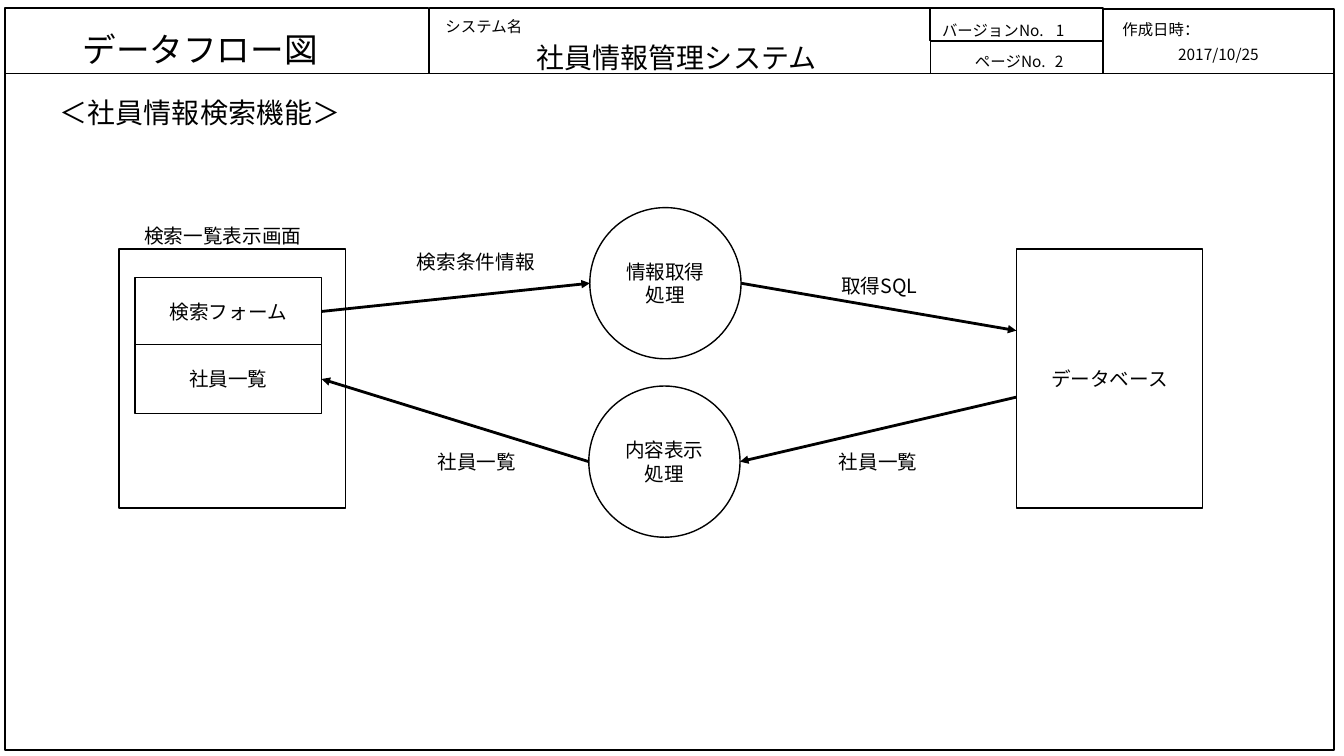
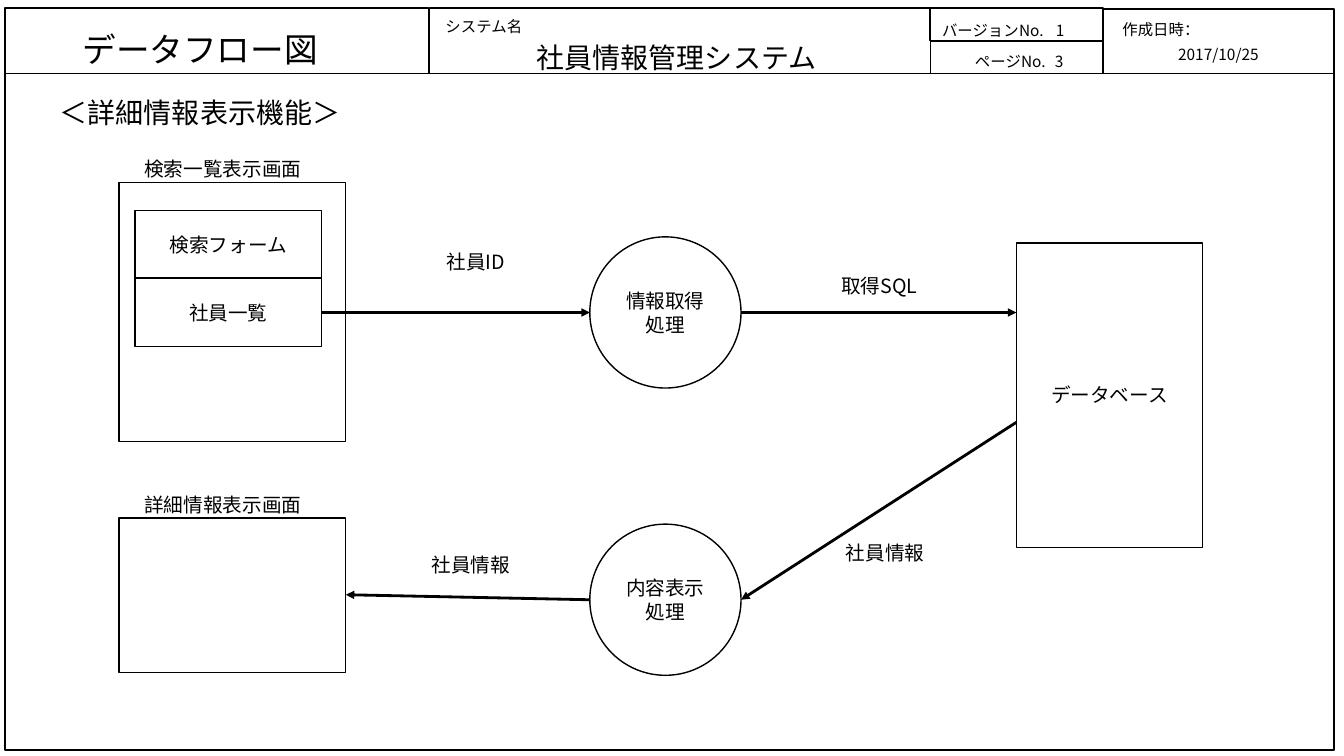
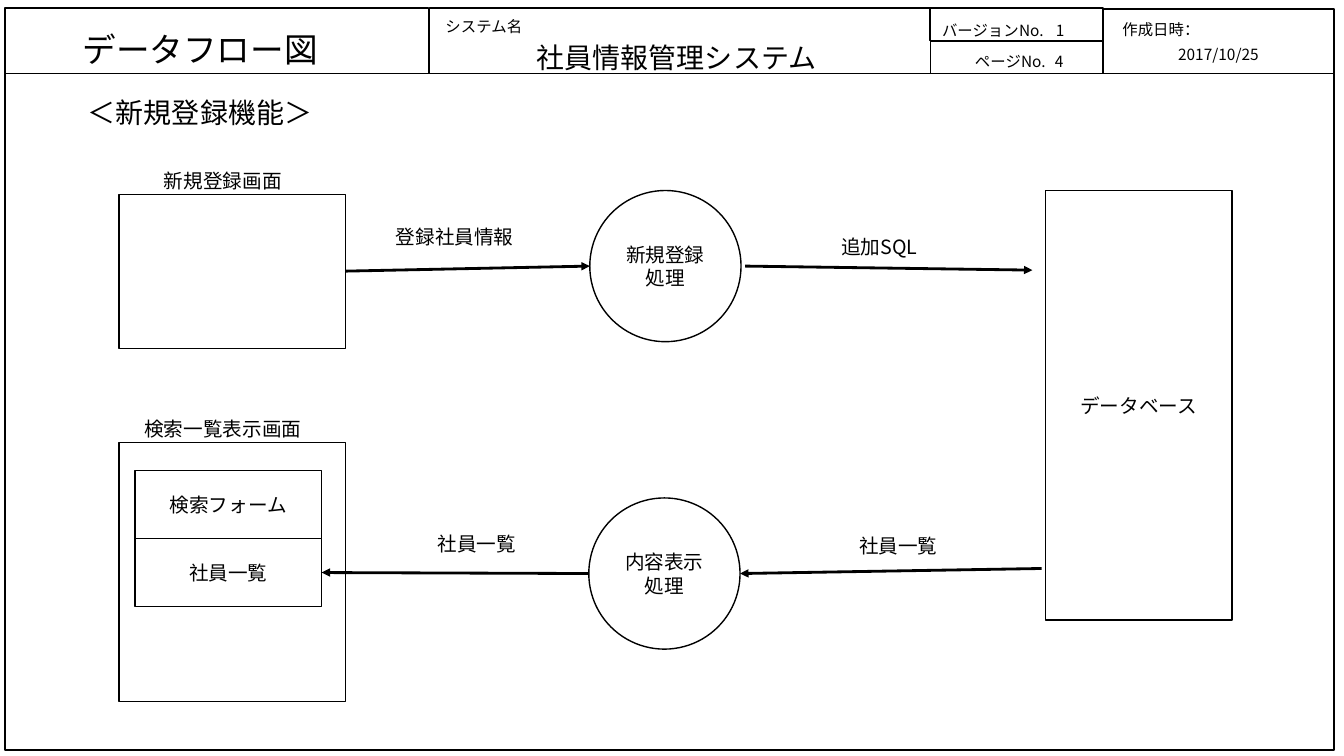
import pptx
import pptx.dml.color
import pptx.enum.shapes
import pptx.enum.text
import pptx.oxml.ns
import pptx.util
from lxml import etree

BLACK = pptx.dml.color.RGBColor(0x00, 0x00, 0x00)
WHITE = pptx.dml.color.RGBColor(0xFF, 0xFF, 0xFF)
FONT = "Noto Sans CJK JP"
PX = 9144  # 100 px to the inch

ALIGN = pptx.enum.text.PP_ALIGN
ANCHOR = pptx.enum.text.MSO_ANCHOR
PRESET = pptx.enum.shapes.MSO_SHAPE

# Boxes are (left, top, width, height) in px.
HEADER_CELLS = [
    (5, 73, 1318, 671),
    (5, 8, 420, 65),
    (426, 8, 497, 65),
    (922, 8, 172, 32),
    (923, 41, 171, 32),
    (1094, 9, 229, 64),
]
PAGE_NUMBER_BOX = (1033, 47, 35, 30)
HEADER_TEXTS = [
    ("データフロー図", (54, 24, 289, 49), {"size": 24}),
    ("システム名", (418, 12, 124, 49), {"size": 11}),
    ("社員情報管理システム", (402, 36, 538, 41), {"size": 20, "anchor": ANCHOR.MIDDLE}),
    ("バージョンNo.", (894, 16, 151, 29), {"size": 11, "align": ALIGN.RIGHT}),
    ("1", (1034, 16, 35, 30), {"size": 11}),
    ("ページNo.", (922, 47, 125, 27), {"size": 11, "align": ALIGN.RIGHT}),
    ("作成日時：", (1085, 15, 133, 24), {"size": 11}),
    ("2017/10/25", (1106, 40, 205, 23), {"size": 11}),
]
TITLE_BOX = (6, 75, 385, 73)

SCREEN_LEFT, SCREEN_WIDTH = 118, 225
LIST_SCREEN_HEIGHT, PLAIN_SCREEN_HEIGHT = 257, 153
PANEL_LEFT, PANEL_OFFSET, PANEL_PITCH = 134, 28, 67
PANEL_WIDTH, PANEL_HEIGHT = 185, 68
CIRCLE = 150
DATABASE_WIDTH = 185
LABEL_WIDTH, LABEL_HEIGHT = 152, 37

LIST_SCREEN = "検索一覧表示画面"
LIST_PANELS = ["検索フォーム", "社員一覧"]
SHOW = "内容表示\n処理"
DATABASE = "データベース"

# screens: (name, top, panels); processes: (name, left, top)
# database: (left, top, height); a flow end: (node, side, y or None for the middle, gap)
# flows: (start, end, label, label left, label top)
SLIDES = [
    {
        "title": "＜社員情報検索機能＞", "page": "2",
        "screens": [(LIST_SCREEN, 247, LIST_PANELS)],
        "processes": [("情報取得処理", 585, 206), (SHOW, 584, 383)],
        "database": (1008, 247, 257),
        "flows": [
            (("検索フォーム", "right"), ("情報取得処理", "left"), "検索条件情報", 396, 241),
            (("情報取得処理", "right"), (DATABASE, "left", 328), "取得SQL", 796, 265),
            ((DATABASE, "left", 394), (SHOW, "right"), "社員一覧", 795, 440),
            ((SHOW, "left"), ("社員一覧", "right"), "社員一覧", 397, 440),
        ],
    },
    {
        "title": "＜詳細情報表示機能＞", "page": "3",
        "screens": [(LIST_SCREEN, 181, LIST_PANELS), ("詳細情報表示画面", 514, [])],
        "processes": [("情報取得処理", 585, 235), (SHOW, 585, 520)],
        "database": (1008, 241, 302),
        "flows": [
            (("社員一覧", "right"), ("情報取得処理", "left"), "社員ID", 396, 241),
            (("情報取得処理", "right"), (DATABASE, "left", 310), "取得SQL", 796, 265),
            ((DATABASE, "left", 419), (SHOW, "right"), "社員情報", 802, 530),
            ((SHOW, "left"), ("詳細情報表示画面", "right"), "社員情報", 391, 542),
        ],
    },
    {
        "title": "＜新規登録機能＞", "page": "4",
        "screens": [("新規登録画面", 193, []), (LIST_SCREEN, 439, LIST_PANELS)],
        "processes": [("新規登録処理", 585, 189), (SHOW, 584, 494)],
        "database": (1037, 189, 426),
        "flows": [
            (("新規登録画面", "right"), ("新規登録処理", "left"), "登録社員情報", 375, 216),
            (("新規登録処理", "right", None, 4), (DATABASE, "left", 268, 13), "追加SQL", 796, 226),
            ((DATABASE, "left", 564, 4), (SHOW, "right"), "社員一覧", 815, 523),
            ((SHOW, "left"), ("社員一覧", "right"), "社員一覧", 397, 521),
        ],
    },
]


def emu(box):
    return [pptx.util.Emu(value * PX) for value in box]


def write(shape, text, size=14, align=ALIGN.CENTER, anchor=ANCHOR.TOP):
    frame = shape.text_frame
    frame.word_wrap = True
    frame.auto_size = pptx.enum.text.MSO_AUTO_SIZE.NONE
    frame.vertical_anchor = anchor
    paragraph = frame.paragraphs[0]
    paragraph.text = text
    paragraph.alignment = align
    paragraph.line_spacing = 1.0
    for run in paragraph.runs:
        run.font.size = pptx.util.Pt(size)
        run.font.name = FONT
        run.font.color.rgb = BLACK
        east_asian = etree.SubElement(run.font._element, pptx.oxml.ns.qn("a:ea"))
        east_asian.set("typeface", FONT)


def add_text(slide, text, box, **text_format):
    write(slide.shapes.add_textbox(*emu(box)), text, **text_format)


def add_outline(slide, box, text="", preset=PRESET.RECTANGLE, fill=None):
    shape = slide.shapes.add_shape(preset, *emu(box))
    shape.shadow.inherit = False
    if fill is None:
        shape.fill.background()
    else:
        shape.fill.solid()
        shape.fill.fore_color.rgb = fill
    shape.line.color.rgb = BLACK
    shape.line.width = pptx.util.Pt(1)
    if text:
        write(shape, text, anchor=ANCHOR.MIDDLE)


def add_arrow(slide, start, end):
    connector = slide.shapes.add_connector(
        pptx.enum.shapes.MSO_CONNECTOR.STRAIGHT, *emu(start + end))
    connector.line.color.rgb = BLACK
    connector.line.width = pptx.util.Pt(2)
    line = connector.line._get_or_add_ln()
    etree.SubElement(line, pptx.oxml.ns.qn("a:tailEnd")).set("type", "triangle")
    etree.SubElement(connector._element.spPr, pptx.oxml.ns.qn("a:effectLst"))


def flow_end(nodes, name, side, y=None, gap=0):
    """Return the point on a node's side, moved outwards by the gap."""
    left, top, width, height = nodes[name]
    x = left - gap if side == "left" else left + width + gap
    return (x, top + height // 2 if y is None else y)


def add_frame(slide, title, page):
    """Add the header table, the page border and the title."""
    for box in HEADER_CELLS:
        add_outline(slide, box)
    for text, box, text_format in HEADER_TEXTS:
        add_text(slide, text, box, **text_format)
    add_text(slide, page, PAGE_NUMBER_BOX, size=11)
    heading = slide.shapes.title
    heading.left, heading.top, heading.width, heading.height = emu(TITLE_BOX)
    write(heading, title, size=20, anchor=ANCHOR.MIDDLE)


def add_screen(slide, name, top, panels):
    """Add a captioned screen with its panels and return their boxes by name."""
    height = LIST_SCREEN_HEIGHT if panels else PLAIN_SCREEN_HEIGHT
    boxes = {name: (SCREEN_LEFT, top, SCREEN_WIDTH, height)}
    add_outline(slide, boxes[name])
    add_text(slide, name, (110, top - 32, 222, LABEL_HEIGHT), anchor=ANCHOR.MIDDLE)
    for index, panel in enumerate(panels):
        panel_top = top + PANEL_OFFSET + index * PANEL_PITCH
        boxes[panel] = (PANEL_LEFT, panel_top, PANEL_WIDTH, PANEL_HEIGHT)
        add_outline(slide, boxes[panel], panel, fill=WHITE)
    return boxes


def add_diagram(slide, content):
    nodes = {}
    for screen in content["screens"]:
        nodes.update(add_screen(slide, *screen))
    for name, left, top in content["processes"]:
        nodes[name] = (left, top, CIRCLE, CIRCLE)
        add_outline(slide, nodes[name], name, preset=PRESET.OVAL)
    left, top, height = content["database"]
    nodes[DATABASE] = (left, top, DATABASE_WIDTH, height)
    add_outline(slide, nodes[DATABASE], DATABASE, fill=WHITE)
    for start, end, label, label_left, label_top in content["flows"]:
        add_arrow(slide, flow_end(nodes, *start), flow_end(nodes, *end))
        add_text(slide, label, (label_left, label_top, LABEL_WIDTH, LABEL_HEIGHT),
                 anchor=ANCHOR.MIDDLE)


def main():
    presentation = pptx.Presentation()
    presentation.slide_width, presentation.slide_height = emu((1333, 750))
    title_only = presentation.slide_layouts[5]
    for content in SLIDES:
        slide = presentation.slides.add_slide(title_only)
        add_frame(slide, content["title"], content["page"])
        add_diagram(slide, content)
    presentation.save("out.pptx")


if __name__ == "__main__":
    main()
